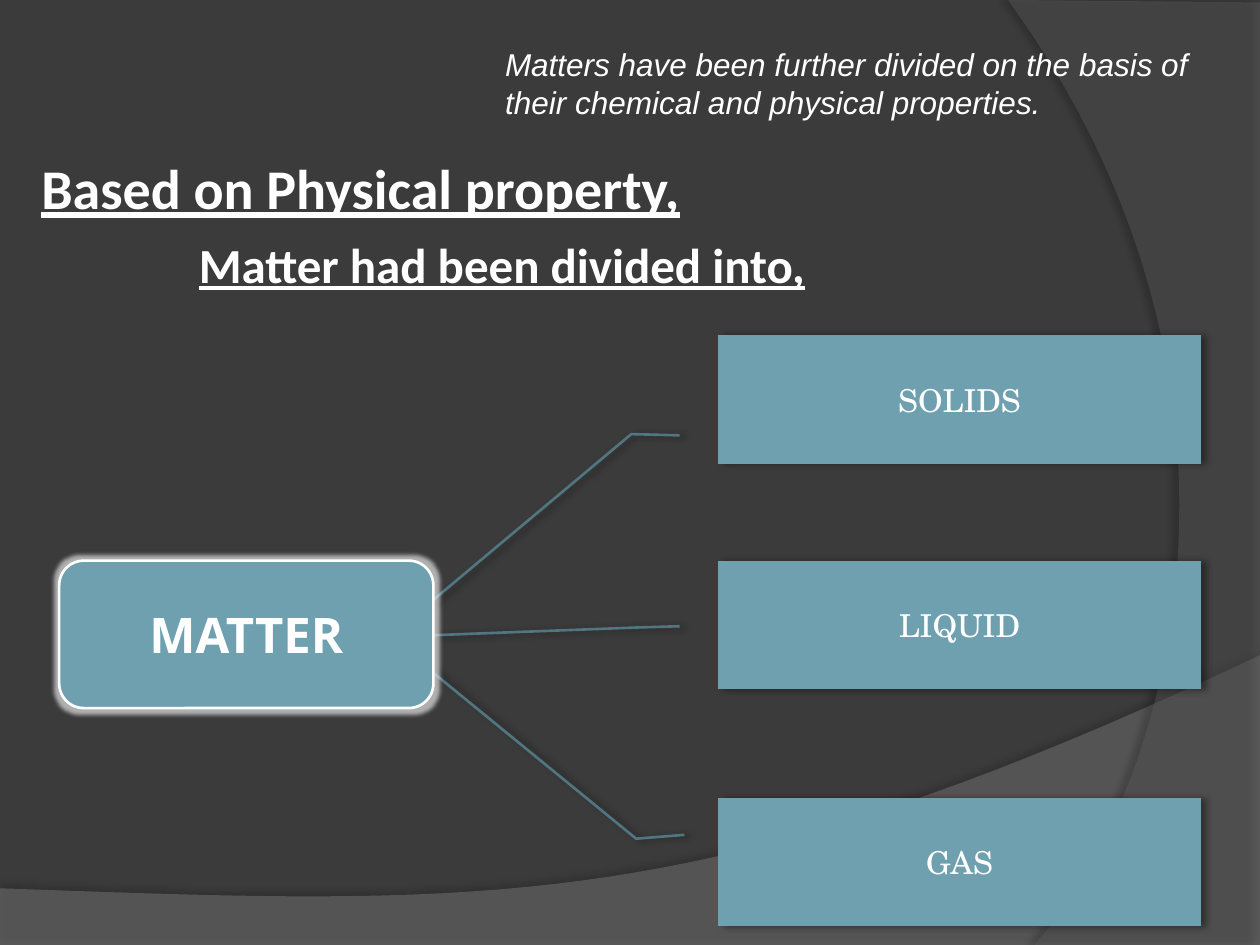
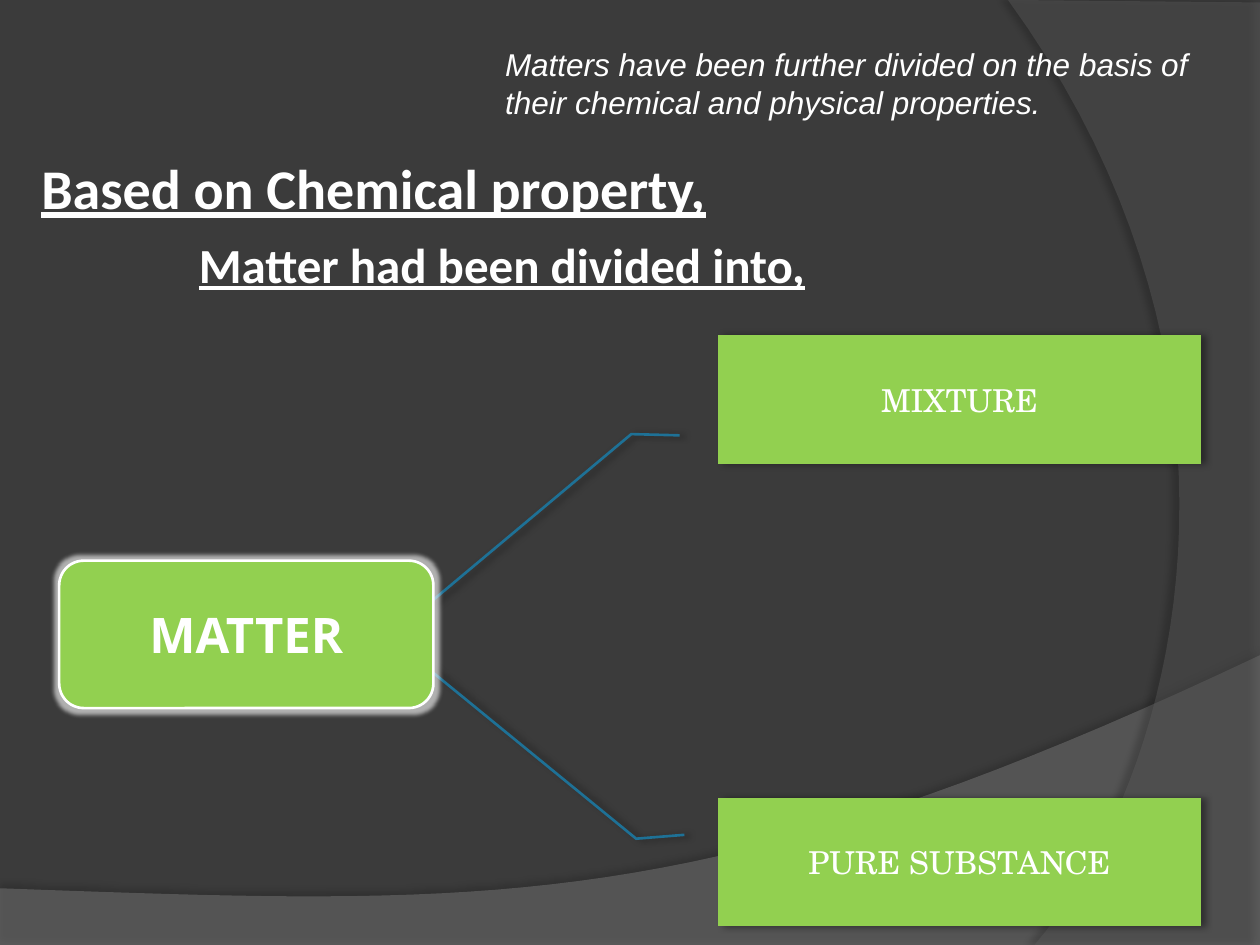
from lxml.etree import SubElement
from pptx import Presentation
from pptx.dml.color import RGBColor
from pptx.enum.shapes import MSO_SHAPE as Preset
from pptx.enum.text import MSO_ANCHOR as Anchor, MSO_AUTO_SIZE as AutoSize, PP_ALIGN as Align
from pptx.oxml.ns import qn
from pptx.util import Inches, Pt

WHITE, BACKGROUND = "FFFFFF", "3B3B3B"
INTRO = "Matters have been further divided on the basis of their chemical and physical properties."
SUBTITLE = "Matter had been divided into,"
ROOT = "MATTER"

SLIDES = [
    {"title": "Based on Physical property,", "fill": "6EA0B0", "line": "517682",
     "branches": [("SOLIDS", "top"), ("LIQUID", "middle"), ("GAS", "bottom")]},
    {"title": "Based on Chemical property,", "fill": "92D050", "line": "1E7196",
     "branches": [("MIXTURE", "top"), ("PURE SUBSTANCE", "bottom")]},
]

BRANCH_LEFT, BRANCH_WIDTH, BRANCH_HEIGHT = 5.7, 3.83, 1.02
BRANCH_ROWS = {
    "top": (2.66, (0.78, -0.08, 0.77, -0.18, 2.09, -0.6)),
    "middle": (4.45, (0.51, -0.08, 0.52, -0.17, 0.58, -0.59)),
    "bottom": (6.33, (0.29, -0.07, 0.32, -0.17, -1.0, -0.6)),
}

BANDS = [
    {"corners": [(0, 7.05), (0, 7.51), (10, 7.51), (10, 5.2)],
     "curve": [(5.59, 7.29), (3.91, 7.19), (0, 7.05)],
     "fill": "7F7F7F", "alpha": 45, "shadow": (35, 4, 3.5, 270)},
    {"corners": [(10, 0.02), (10, 7.5), (8.21, 7.5)],
     "curve": [(9.35, 6.19), (10.18, 3), (8, 0)],
     "fill": "5E5E5E", "alpha": 40, "shadow": (45, 4, 4, 180)},
]
CURVE_STEPS = 40


def color(value):
    return RGBColor.from_string(value)


def paint(shape, fill, line=None):
    shape.fill.solid()
    shape.fill.fore_color.rgb = color(fill)
    if line:
        shape.line.color.rgb = color(line)
        shape.line.width = Pt(1.5)
    else:
        shape.line.fill.background()
    shape.shadow.inherit = False


def add_effect(shape, name, value, alpha, **attributes):
    effects = shape._element.spPr.find(qn("a:effectLst"))
    effect = SubElement(effects, qn(f"a:{name}"),
                        {key: str(int(number)) for key, number in attributes.items()})
    tone = SubElement(effect, qn("a:srgbClr"), val=value)
    SubElement(tone, qn("a:alpha"), val=str(alpha * 1000))


def add_shadow(shape, alpha, blur, distance, angle):
    add_effect(shape, "outerShdw", "000000", alpha, blurRad=Pt(blur),
               dist=Pt(distance), dir=angle * 60000, rotWithShape=0)


def write(shape, text, size, font_name, **style):
    paragraph = shape.text_frame.paragraphs[0]
    paragraph.text = text
    font = paragraph.font
    font.size, font.name = Pt(size), font_name
    font.color.rgb = color(WHITE)
    for key, value in style.items():
        setattr(font, key, value)
    return paragraph


def add_text(slide, box, text, size, font_name, wrap=True, **style):
    shape = slide.shapes.add_textbox(*map(Inches, box))
    shape.text_frame.word_wrap = wrap
    shape.text_frame.auto_size = AutoSize.SHAPE_TO_FIT_TEXT
    write(shape, text, size, font_name, **style)


def add_box(slide, preset, box, fill, line, text, size, font_name, **style):
    shape = slide.shapes.add_shape(preset, *map(Inches, box))
    paint(shape, fill, line)
    shape.text_frame.vertical_anchor = Anchor.MIDDLE
    write(shape, text, size, font_name, **style).alignment = Align.CENTER
    return shape


def curve_points(start, first, second, end):
    for step in range(1, CURVE_STEPS + 1):
        t = step / CURVE_STEPS
        u = 1 - t
        yield tuple(u**3 * a + 3 * u * u * t * b + 3 * u * t * t * c + t**3 * d
                    for a, b, c, d in zip(start, first, second, end))


def add_band(slide, band):
    corners = band["corners"]
    points = corners + list(curve_points(corners[-1], *band["curve"]))
    start, *rest = [(Inches(x), Inches(y)) for x, y in points]
    builder = slide.shapes.build_freeform(*start)
    builder.add_line_segments(rest, close=True)
    shape = builder.convert_to_shape()
    paint(shape, band["fill"])
    tone = shape._element.spPr.find(qn("a:solidFill"))[0]
    SubElement(tone, qn("a:alpha"), val=str(band["alpha"] * 1000))
    add_shadow(shape, *band["shadow"])


def add_branch(slide, text, row, fill, line):
    top, pointer = BRANCH_ROWS[row]
    shape = add_box(slide, Preset.LINE_CALLOUT_2_NO_BORDER,
                    (BRANCH_LEFT, top, BRANCH_WIDTH, BRANCH_HEIGHT),
                    fill, line, text, 18, "TeX Gyre Schola")
    for index, value in enumerate(pointer):
        shape.adjustments[index] = value
    add_shadow(shape, 40, 4, 3, 0)


def build_slide(presentation, content):
    slide = presentation.slides.add_slide(presentation.slide_layouts[6])
    slide.background.fill.solid()
    slide.background.fill.fore_color.rgb = color(BACKGROUND)
    for band in BANDS:
        add_band(slide, band)
    for text, row in content["branches"]:
        add_branch(slide, text, row, content["fill"], content["line"])
    add_text(slide, (0.23, 1.17, 7.11, 0.64), content["title"], 32, "Calibri",
             bold=True, underline=True)
    add_text(slide, (1.48, 1.81, 5.08, 0.57), SUBTITLE, 28, "Calibri",
             wrap=False, bold=True, underline=True)
    add_text(slide, (3.91, 0.31, 6.09, 0.71), INTRO, 18, "Arial", italic=True)
    root = add_box(slide, Preset.ROUNDED_RECTANGLE, (0.47, 4.45, 2.97, 1.17),
                   content["fill"], WHITE, ROOT, 28, "Open Sans", bold=True)
    add_effect(root, "glow", WHITE, 60, rad=Pt(5))


def main():
    presentation = Presentation()
    presentation.slide_width, presentation.slide_height = Inches(10), Inches(7.5)
    for content in SLIDES:
        build_slide(presentation, content)
    presentation.save("out.pptx")


if __name__ == "__main__":
    main()
